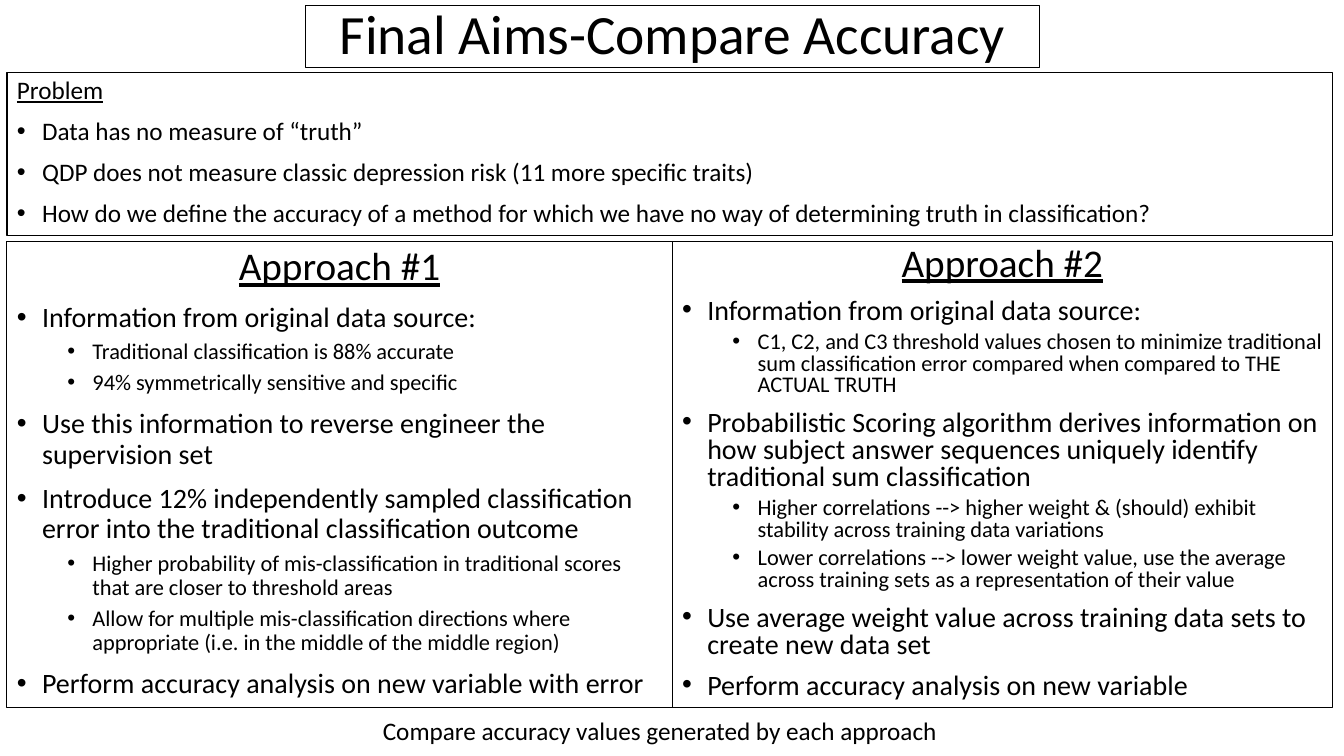
from pptx import Presentation
from pptx.dml.color import RGBColor
from pptx.enum.text import MSO_ANCHOR, PP_ALIGN
from pptx.oxml.ns import qn
from pptx.util import Pt
from lxml import etree

BLACK = RGBColor(0, 0, 0)
FONT = "Calibri"
LEFT, CENTER = PP_ALIGN.LEFT, PP_ALIGN.CENTER
TOP, MIDDLE = MSO_ANCHOR.TOP, MSO_ANCHOR.MIDDLE

MARGIN, PANEL_TOP, PANEL_HEIGHT = 5, 172.8, 332.6
FULL_WIDTH, DIVIDER = 946.8, 480.1

PROBLEM = [
    (0, "Data has no measure of “truth”"),
    (0, "QDP does not measure classic depression risk (11 more specific traits)"),
    (0, "How do we define the accuracy of a method for which we have no way of "
        "determining truth in classification?"),
]
APPROACH_1 = [
    (0, "Information from original data source:"),
    (1, "Traditional classification is 88% accurate"),
    (1, "94% symmetrically sensitive and specific"),
    (0, "Use this information to reverse engineer the supervision set"),
    (0, "Introduce 12% independently sampled classification error into the "
        "traditional classification outcome"),
    (1, "Higher probability of mis-classification in traditional scores that are "
        "closer to threshold areas"),
    (1, "Allow for multiple mis-classification directions where appropriate "
        "(i.e. in the middle of the middle region)"),
    (0, "Perform accuracy analysis on new variable with error"),
]
APPROACH_2 = [
    (0, "Information from original data source:"),
    (1, "C1, C2, and C3 threshold values chosen to minimize traditional sum "
        "classification error compared when compared to THE ACTUAL TRUTH"),
    (0, "Probabilistic Scoring algorithm derives information on how subject answer "
        "sequences uniquely identify traditional sum classification"),
    (1, "Higher correlations --> higher weight & (should) exhibit stability across "
        "training data variations"),
    (1, "Lower correlations --> lower weight value, use the average across training "
        "sets as a representation of their value"),
    (0, "Use average weight value across training data sets to create new data set"),
    (0, "Perform accuracy analysis on new variable"),
]


class Deck:
    def __init__(self, width, height):
        self.prs = Presentation()
        self.prs.slide_width, self.prs.slide_height = Pt(width), Pt(height)
        self.slide = self.prs.slides.add_slide(self.prs.slide_layouts[6])

    def box(self, left, top, width, height, anchor=TOP, border=True):
        sp = self.slide.shapes.add_textbox(Pt(left), Pt(top), Pt(width), Pt(height))
        if border:
            sp.line.color.rgb = BLACK
            sp.line.width = Pt(0.75)
        tf = sp.text_frame
        tf.word_wrap = True
        tf.vertical_anchor = anchor
        return tf

    def line(self, p, text, size, align=LEFT, spacing=1.0, before=0, underline=False):
        p.text = text
        p.alignment = align
        p.line_spacing = spacing
        p.space_before = Pt(before)
        font = p.runs[0].font
        font.name, font.size, font.underline = FONT, Pt(size), underline
        font.color.rgb = BLACK

    def bullet(self, p, level):
        p.level = level
        pPr = p._p.get_or_add_pPr()
        pPr.set("marL", str(Pt(18 + 36 * level)))
        pPr.set("indent", str(-Pt(18)))
        etree.SubElement(pPr, qn("a:buFont")).set("typeface", "Arial")
        etree.SubElement(pPr, qn("a:buChar")).set("char", "•")

    def label(self, area, text, size, anchor=TOP, border=True, **style):
        tf = self.box(*area, anchor=anchor, border=border)
        self.line(tf.paragraphs[0], text, size, **style)

    def panel(self, area, heading, heading_size, items, sizes, spacing, align=CENTER):
        tf = self.box(*area)
        self.line(tf.paragraphs[0], heading, heading_size, align, spacing, 10, True)
        for level, text in items:
            p = tf.add_paragraph()
            self.line(p, text, sizes[level], LEFT, spacing, 10 - 5 * level)
            self.bullet(p, level)


deck = Deck(960, 540)
deck.label((218.2, 3.6, 524.2, 44.6), "Final Aims-Compare Accuracy", 39.6,
           anchor=MIDDLE, align=CENTER, spacing=0.9)
deck.panel((MARGIN, 51.8, FULL_WIDTH, 116.6), "Problem", 18, PROBLEM, (18,), 0.9, LEFT)
deck.panel((MARGIN, PANEL_TOP, DIVIDER - MARGIN, PANEL_HEIGHT),
           "Approach #1", 28, APPROACH_1, (20, 16), 0.9)
deck.panel((DIVIDER, PANEL_TOP, MARGIN + FULL_WIDTH - DIVIDER, PANEL_HEIGHT),
           "Approach #2", 28, APPROACH_2, (20, 16), 0.8)
deck.label((266.4, 507.6, 424.8, 28.8),
           "Compare accuracy values generated by each approach", 18, border=False)
deck.prs.save("out.pptx")
